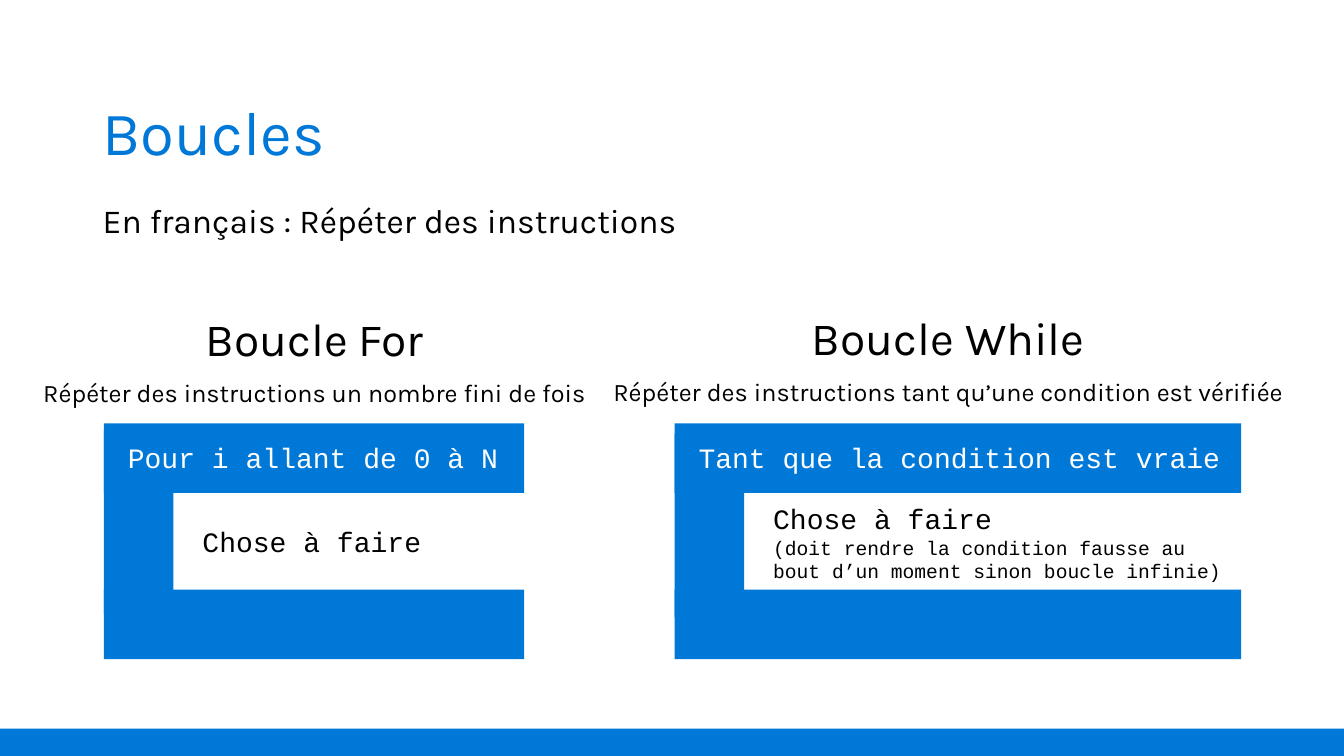
from pptx import Presentation
from pptx.dml.color import RGBColor as RGB
from pptx.enum.shapes import MSO_SHAPE as SHAPE
from pptx.enum.text import MSO_ANCHOR as ANCHOR, PP_ALIGN as ALIGN
from pptx.util import Inches, Pt

COLORS = {"blue": "0078D7", "black": "000000", "white": "FFFFFF"}
BODY, CODE = "Karla", "Courier New"
BAR = 0.69
SPINE = 1.82


class Deck:
    def __init__(self):
        self.prs = Presentation()
        self.prs.slide_width = Inches(13.33)
        self.prs.slide_height = Inches(7.5)
        self.s = self.prs.slides.add_slide(self.prs.slide_layouts[6])

    def bar(self, x, y, w, h, rotation=0):
        sp = self.s.shapes.add_shape(
            SHAPE.RECTANGLE, Inches(x), Inches(y), Inches(w), Inches(h))
        sp.rotation = rotation
        sp.shadow.inherit = False
        sp.fill.solid()
        sp.fill.fore_color.rgb = RGB.from_string(COLORS["blue"])
        sp.line.fill.background()

    def text(self, x, y, w, h, lines, font=BODY, color="black",
             align=ALIGN.LEFT, anchor=ANCHOR.TOP, before=0, spacing=1.0):
        sp = self.s.shapes.add_textbox(Inches(x), Inches(y), Inches(w), Inches(h))
        tf = sp.text_frame
        tf.word_wrap = True
        tf.vertical_anchor = anchor
        tf.text = "\n".join(words for words, size in lines)
        for p, (words, size) in zip(tf.paragraphs, lines):
            p.alignment = align
            p.space_before = Pt(before)
            p.line_spacing = spacing
            for r in p.runs:
                r.font.name = font
                r.font.size = Pt(size)
                r.font.color.rgb = RGB.from_string(COLORS[color])

    def heading(self, x, y, w, title, caption):
        self.text(x, y, w, 1.08, [(title, 33), (caption, 18)],
                  align=ALIGN.CENTER, before=10, spacing=0.9)

    def loop_block(self, x, w, spine_y, condition, condition_w, steps, steps_box):
        self.bar(x, 4.2, w, BAR)
        self.bar(x - (SPINE - BAR) / 2, spine_y, SPINE, BAR, rotation=270)
        self.bar(x, 5.85, w, BAR)
        self.text(x + 0.14, 4.32, condition_w, 0.44, [(condition, 20)],
                  font=CODE, color="white")
        self.text(x + 0.88, *steps_box, steps, font=CODE)


def main():
    deck = Deck()
    deck.text(0.92, 0.62, 11.5, 1.45, [("Boucles", 44)], color="blue",
              anchor=ANCHOR.MIDDLE, spacing=0.9)
    deck.text(0.92, 1.98, 10.58, 0.77,
              [("En français : Répéter des instructions", 24)],
              before=10, spacing=0.9)
    deck.bar(0, 7.23, 13.33, 0.27)

    deck.loop_block(1.03, 4.17, 4.84, "Pour i allant de 0 à N", 4.17,
                    [("Chose à faire", 20)], (5.15, 4.17, 0.44))
    deck.loop_block(6.69, 5.62, 4.87, "Tant que la condition est vraie", 5.7,
                    [("Chose à faire", 20),
                     ("(doit rendre la condition fausse au bout d’un moment "
                      "sinon boucle infinie)", 14)],
                    (4.93, 4.82, 0.91))

    deck.heading(0.24, 3.09, 5.76, "Boucle For",
                 "Répéter des instructions un nombre fini de fois")
    deck.heading(5.91, 3.08, 6.99, "Boucle While",
                 "Répéter des instructions tant qu’une condition est vérifiée")
    deck.prs.save("out.pptx")


if __name__ == "__main__":
    main()
